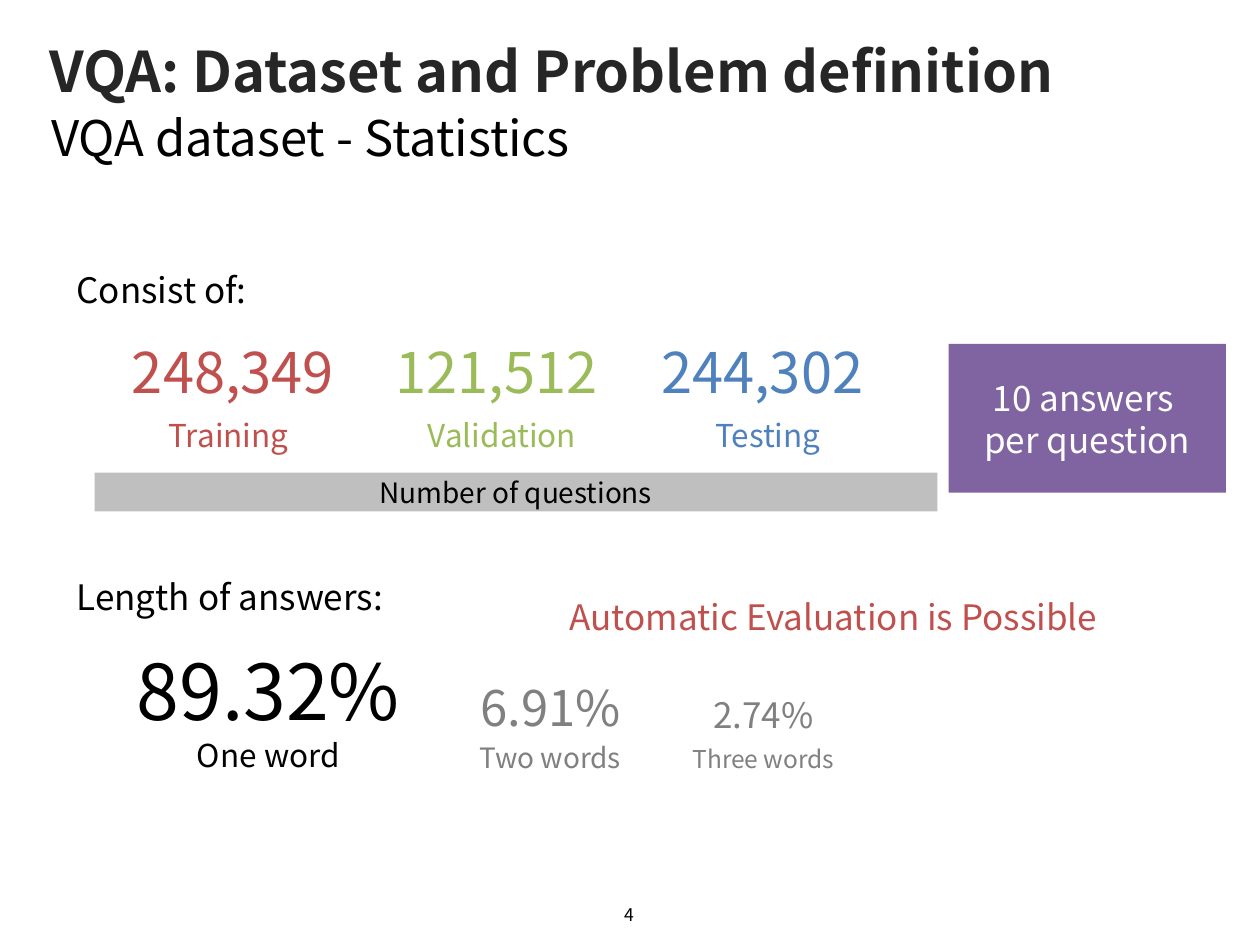
from pptx import Presentation
from pptx.dml.color import RGBColor
from pptx.enum.shapes import MSO_SHAPE
from pptx.enum.text import MSO_ANCHOR, MSO_AUTO_SIZE, PP_ALIGN
from pptx.util import Inches, Pt

FONT = "Noto Sans CJK KR"
COLORS = {
    "title": "262626", "black": "000000", "white": "FFFFFF", "gray": "808080",
    "bar": "BFBFBF", "red": "C0504D", "green": "9BBB59", "blue": "4F81BD",
    "purple": "8064A2",
}

# Content
TITLE = "VQA: Dataset and Problem definition"
SUBTITLE = "VQA dataset - Statistics"
PAGE_NUMBER = "4"
HEADINGS = [("Consist of:", 2.02), ("Length of answers:", 4.46)]  # text, top
# count, split, colour, left of the count, left of the split name
SPLITS = [
    ("248,349 ", "Training", "red", 0.95, 1.03),
    ("121,512 ", "Validation", "green", 3.04, 3.2),
    ("244,302 ", "Testing", "blue", 5.15, 5.31),
]
# share, its size, width and height, label, its size and width, centre, colour
ANSWER_LENGTHS = [
    ("89.32%", 44, 2.47, 0.88, "One word", 18, 1.57, 2.13, "black"),
    ("6.91%", 28, 1.46, 0.58, "Two words", 16, 1.57, 4.37, "gray"),
    ("2.74%", 20, 1.2, 0.5, "Three words", 14, 1.83, 6.06, "gray"),
]
QUESTIONS_BAR = "Number of questions"
ANSWERS_BOX = "10 answers \nper question"
CONCLUSION = "Automatic Evaluation is Possible"

SHARE_BOTTOM = 5.89
LABEL_HEIGHT = 0.39


def rgb(name):
    return RGBColor.from_string(COLORS[name])


def write(shape, text, size, color, align=PP_ALIGN.CENTER,
          anchor=MSO_ANCHOR.MIDDLE, bold=False):
    frame = shape.text_frame
    frame.text = text
    frame.word_wrap = True
    frame.auto_size = MSO_AUTO_SIZE.NONE
    frame.vertical_anchor = anchor
    for paragraph in frame.paragraphs:
        paragraph.alignment = align
        for run in paragraph.runs:
            run.font.name = FONT
            run.font.size = Pt(size)
            run.font.bold = bold
            run.font.color.rgb = rgb(color)
    return frame


def add_text(slide, box, text, size, color, **style):
    textbox = slide.shapes.add_textbox(*map(Inches, box))
    return write(textbox, text, size, color, **style)


def add_block(slide, box, fill, text, size, color):
    block = slide.shapes.add_shape(MSO_SHAPE.RECTANGLE, *map(Inches, box))
    block.shadow.inherit = False
    block.fill.solid()
    block.fill.fore_color.rgb = rgb(fill)
    block.line.fill.background()
    write(block, text, size, color)


def main():
    prs = Presentation()
    prs.slide_width, prs.slide_height = Inches(10), Inches(7.5)
    slide = prs.slides.add_slide(prs.slide_layouts[5])

    # Title, subtitle and page number
    title = slide.shapes.title
    title.left, title.top = Inches(0.29), Inches(0.2)
    title.width, title.height = Inches(10.11), Inches(0.72)
    write(title, TITLE, 32, "title", align=PP_ALIGN.LEFT, bold=True)
    add_text(slide, (0.31, 0.76, 10, 0.66), SUBTITLE, 28, "black",
             align=PP_ALIGN.LEFT)
    add_text(slide, (3.83, 7.06, 2.33, 0.4), PAGE_NUMBER, 10, "black")

    # Section headings
    for heading, top in HEADINGS:
        add_text(slide, (0.51, top, 6.77, 0.55), heading, 20, "black",
                 align=PP_ALIGN.LEFT)

    # Questions in each split
    for count, split, color, count_left, split_left in SPLITS:
        frame = add_text(slide, (count_left, 2.47, 1.9, 0.74), count, 32,
                         color, anchor=MSO_ANCHOR.BOTTOM)
        frame.margin_left = frame.margin_right = 0
        frame.margin_top = frame.margin_bottom = 0
        add_text(slide, (split_left, 3.26, 1.57, LABEL_HEIGHT), split, 18, color)
    add_block(slide, (0.75, 3.75, 6.69, 0.31), "bar", QUESTIONS_BAR, 16, "black")
    add_block(slide, (7.53, 2.73, 2.2, 1.18), "purple", ANSWERS_BOX, 20, "white")

    # Share of answers by length, all standing on one line
    for (share, share_size, width, height,
         label, label_size, label_width, center, color) in ANSWER_LENGTHS:
        add_text(slide, (center - width / 2, SHARE_BOTTOM - height, width, height),
                 share, share_size, color, anchor=MSO_ANCHOR.BOTTOM)
        add_text(slide, (center - label_width / 2, 5.8, label_width, LABEL_HEIGHT),
                 label, label_size, color, anchor=MSO_ANCHOR.BOTTOM)

    # Conclusion
    add_text(slide, (3.74, 4.62, 5.75, 0.55), CONCLUSION, 20, "red")

    prs.save("out.pptx")


if __name__ == "__main__":
    main()
